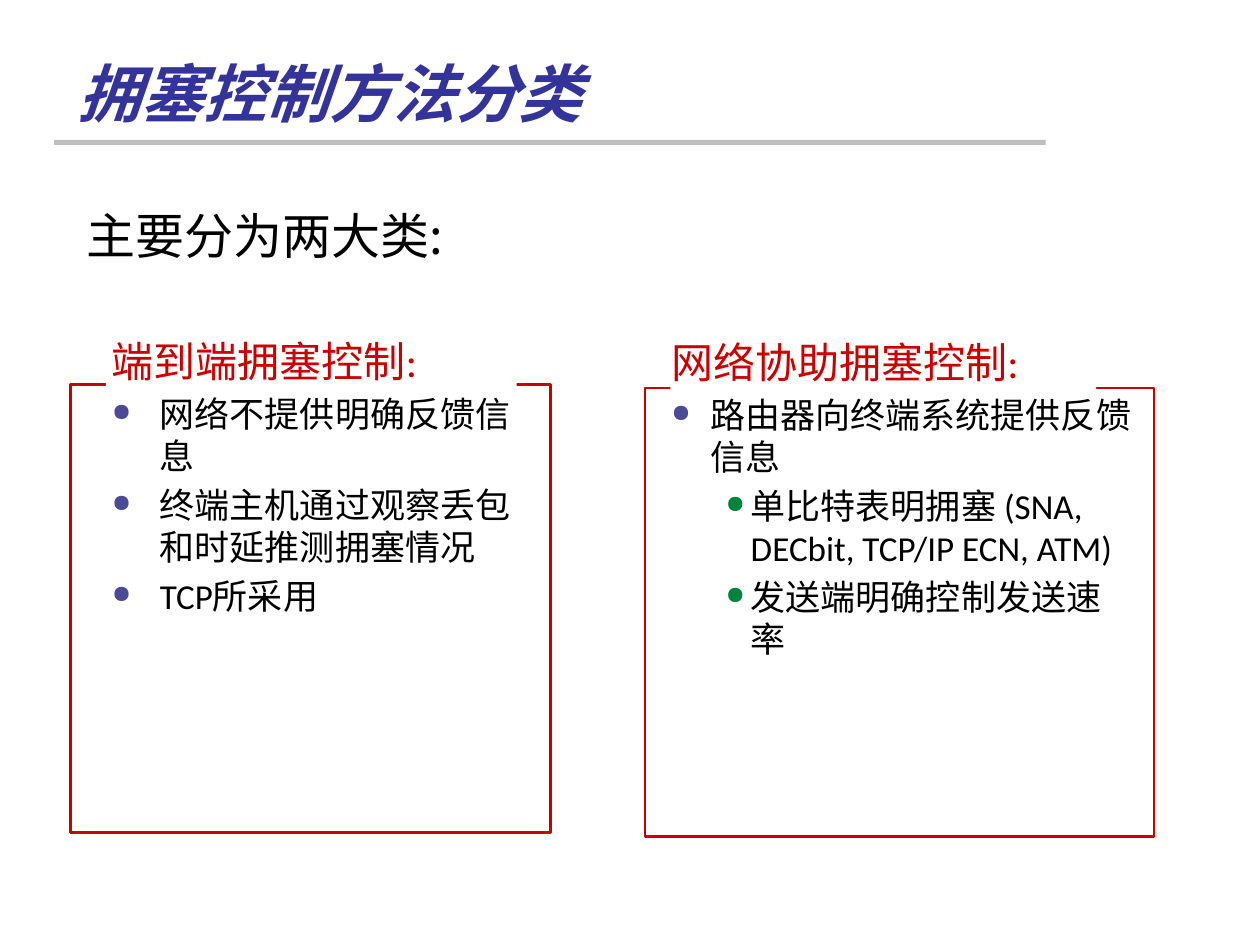
from pptx import Presentation
from pptx.dml.color import RGBColor
from pptx.enum.shapes import MSO_SHAPE
from pptx.enum.text import MSO_ANCHOR
from pptx.oxml.ns import qn
from pptx.util import Inches, Pt
from lxml.etree import SubElement

COLORS = {
    "rule": "BFBFBF",
    "title": "333399",
    "text": "000000",
    "accent": "CC0000",
    "paper": "FFFFFF",
    "bullet": "4A4A97",
    "sub_bullet": "00843C",
}
LATIN = "Calibri"
CJK = "Noto Sans CJK SC"


class SlideBuilder:
    def __init__(self, page):
        self.page = page

    def color(self, name):
        return RGBColor.from_string(COLORS[name])

    def rectangle(self, place, fill=None, line=None):
        box = self.page.shapes.add_shape(MSO_SHAPE.RECTANGLE, *map(Inches, place))
        box.shadow.inherit = False
        if fill:
            box.fill.solid()
            box.fill.fore_color.rgb = self.color(fill)
        else:
            box.fill.background()
        if line:
            box.line.color.rgb = self.color(line)
            box.line.width = Pt(1.5)
        else:
            box.line.fill.background()

    def text_box(self, place, anchor=MSO_ANCHOR.TOP):
        frame = self.page.shapes.add_textbox(*map(Inches, place)).text_frame
        frame.word_wrap = True
        frame.vertical_anchor = anchor
        return frame

    def style(self, para, size, color, font=LATIN, strong=False):
        for span in para.runs:
            span.font.size = Pt(size)
            span.font.name = font
            span.font.color.rgb = self.color(color)
            span.font.bold = span.font.italic = strong
            SubElement(span.font._element, qn("a:ea"), typeface=CJK)

    def indent(self, para, left, hanging, bullet=None):
        properties = para._p.get_or_add_pPr()
        properties.set("marL", str(Inches(left)))
        properties.set("indent", str(-Inches(hanging)))
        if bullet:
            tint = SubElement(properties, qn("a:buClr"))
            SubElement(tint, qn("a:srgbClr"), val=COLORS[bullet])
            SubElement(properties, qn("a:buSzPct"), val="70000")
            SubElement(properties, qn("a:buChar"), char="●")
        else:
            SubElement(properties, qn("a:buNone"))

    def title(self, place, text):
        para = self.text_box(place, MSO_ANCHOR.BOTTOM).paragraphs[0]
        para.text = text
        self.style(para, 36, "title", strong=True)

    def lead(self, place, text):
        para = self.text_box(place).paragraphs[0]
        para.text = text
        para.line_spacing = 0.85
        para.space_before = Pt(5.6)
        self.style(para, 28, "text", CJK)

    def category(self, border, cover, place, hanging, heading, points):
        self.rectangle(border, line="accent")
        self.rectangle(cover, fill="paper")
        frame = self.text_box(place)
        para = frame.paragraphs[0]
        para.text = heading
        para.space_before = Pt(4.8)
        self.indent(para, hanging, hanging)
        self.style(para, 24, "accent")
        for level, text in points:
            para = frame.add_paragraph()
            para.text = text
            para.level = level
            para.space_before = Pt(4)
            if level:
                self.indent(para, 0.63, 0.2, "sub_bullet")
            else:
                self.indent(para, hanging, hanging, "bullet")
            self.style(para, 20, "text")


deck = Presentation()
deck.slide_width, deck.slide_height = Inches(10), Inches(7.5)
builder = SlideBuilder(deck.slides.add_slide(deck.slide_layouts[6]))

builder.rectangle((0.43, 1.11, 7.87, 0.04), fill="rule")
builder.title((0.52, 0.21, 8.5, 0.87), "拥塞控制方法分类")
builder.lead((0.59, 1.65, 8.92, 0.6), "主要分为两大类:")
builder.category(
    (0.56, 3.05, 3.81, 3.56), (0.84, 2.77, 3.26, 0.62), (0.79, 2.61, 3.6, 4.17),
    0.38, "端到端拥塞控制:",
    [
        (0, "网络不提供明确反馈信息"),
        (0, "终端主机通过观察丢包和时延推测拥塞情况"),
        (0, "TCP所采用"),
    ],
)
builder.category(
    (5.12, 3.08, 4.04, 3.56), (5.32, 2.79, 3.38, 0.62), (5.23, 2.62, 3.88, 4.27),
    0.31, "网络协助拥塞控制:",
    [
        (0, "路由器向终端系统提供反馈信息"),
        (1, "单比特表明拥塞 (SNA, DECbit, TCP/IP ECN, ATM)"),
        (1, "发送端明确控制发送速率"),
    ],
)

deck.save("out.pptx")
